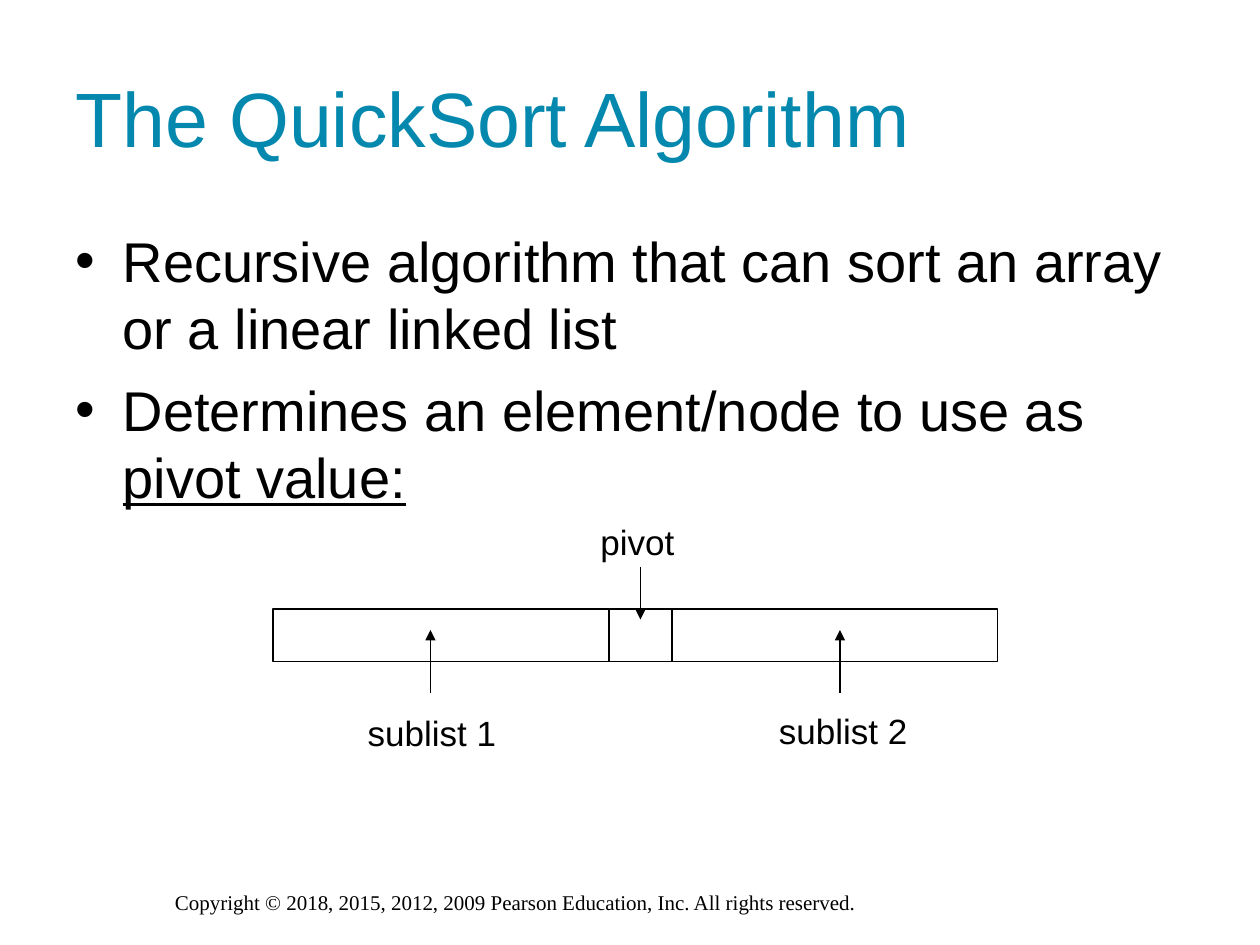
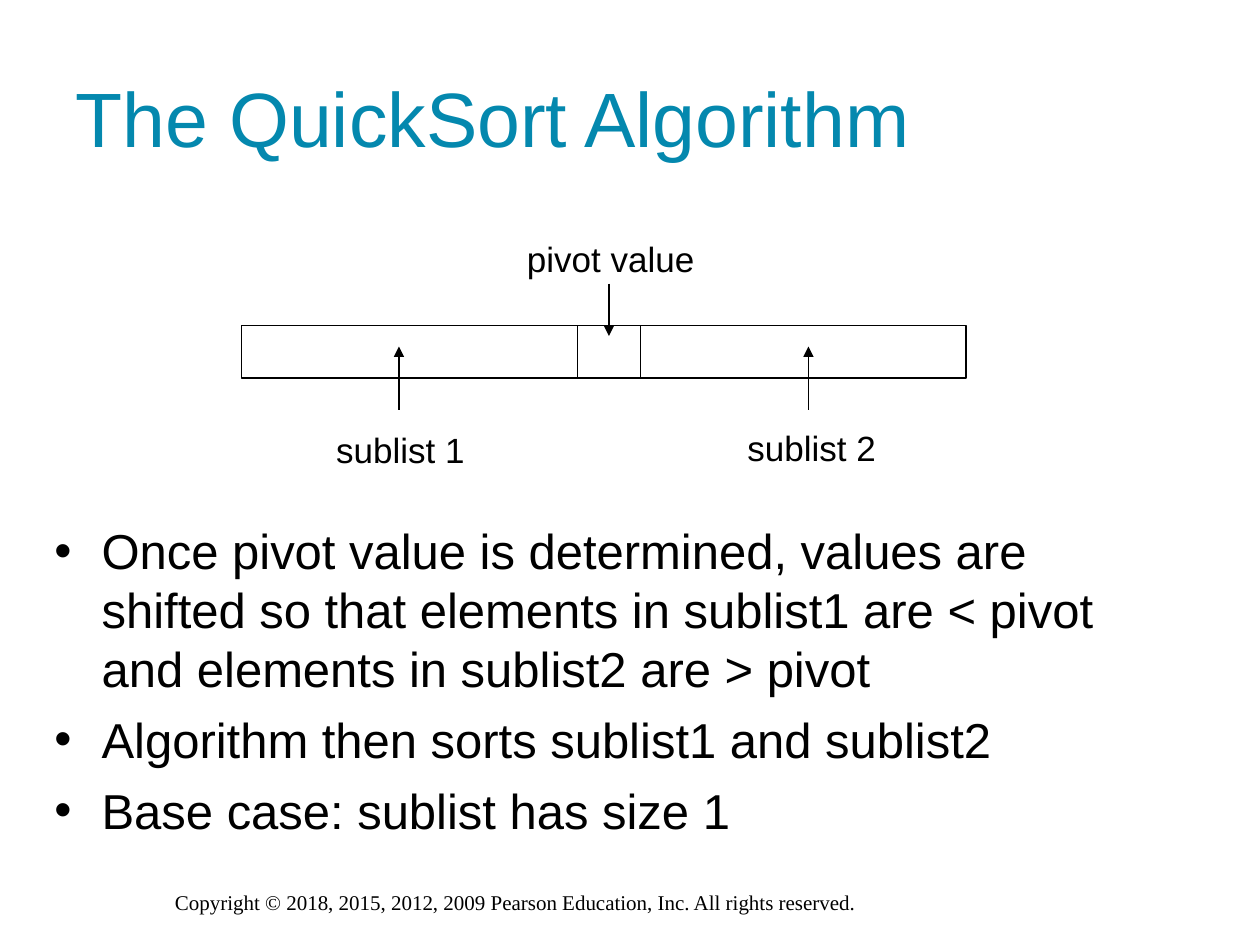
from lxml.etree import SubElement
from pptx import Presentation
from pptx.dml.color import RGBColor
from pptx.enum.shapes import MSO_CONNECTOR as Connector, MSO_SHAPE as Shape
from pptx.enum.text import MSO_ANCHOR as Anchor
from pptx.oxml.ns import qn
from pptx.util import Pt

BLACK, TEAL = "000000", "0488AE"
TITLE_BOX = (36, 21.6, 648, 90)
FOOTER_BOX = (92.9, 504.7, 534, 21.6)
FOOTER = "Copyright © 2018, 2015, 2012, 2009 Pearson Education, Inc. All rights reserved."

SLIDES = [
    {
        "title": "The QuickSort Algorithm",
        "body_box": (36, 126, 648, 356.4),
        "size": 32,
        "space": 8,
        "bullets": [
            ["Recursive algorithm that can sort an array or a linear linked list"],
            ["Determines an element/node to use as ", "pivot value:"],
        ],
        "list_origin": (156, 348),
        "pivot_label": ("pivot", 180, 57),
    },
    {
        "title": "The QuickSort Algorithm",
        "body_box": (24, 294, 612, 198),
        "size": 28,
        "space": 7,
        "bullets": [
            ["Once pivot value is determined, values are shifted so that elements "
             "in sublist1 are < pivot and elements in sublist2 are > pivot"],
            ["Algorithm then sorts sublist1 and sublist2"],
            ["Base case: sublist has size 1"],
        ],
        "list_origin": (138, 186),
        "pivot_label": ("pivot value", 156, 110),
    },
]

LIST_WIDTH, LIST_HEIGHT = 414, 30
PIVOT_LEFT, PIVOT_WIDTH = 192, 36
LABEL_WIDTH, LABEL_HEIGHT = 88, 31.5
SUBLISTS = [("sublist 1", 47, 55.2, 90), ("sublist 2", 282, 54, 324)]


def color(value):
    return RGBColor.from_string(value)


def points(*values):
    return [Pt(value) for value in values]


def format_runs(paragraph, size, font_color, font_name="Arial"):
    for run in paragraph.runs:
        run.font.size = Pt(size)
        run.font.name = font_name
        run.font.color.rgb = color(font_color)


def add_text(slide, box, text, size, font_color=BLACK, font_name="Arial", wrap=True):
    frame = slide.shapes.add_textbox(*points(*box)).text_frame
    frame.word_wrap = wrap
    frame.text = text
    format_runs(frame.paragraphs[0], size, font_color, font_name)
    return frame


def add_bullets(slide, box, bullets, size, space):
    frame = slide.shapes.add_textbox(*points(*box)).text_frame
    frame.word_wrap = True
    for index, (plain, *underlined) in enumerate(bullets):
        paragraph = frame.add_paragraph() if index else frame.paragraphs[0]
        paragraph.line_spacing = Pt(size * 1.2)
        if index:
            paragraph.space_before = Pt(space)
        properties = paragraph._p.get_or_add_pPr()
        properties.set("marL", str(Pt(27)))
        properties.set("indent", str(Pt(-27)))
        SubElement(properties, qn("a:buFont"), typeface="Arial")
        SubElement(properties, qn("a:buChar"), char="•")
        paragraph.add_run().text = plain
        for text in underlined:
            run = paragraph.add_run()
            run.text = text
            run.font.underline = True
        format_runs(paragraph, size, BLACK)


def add_cell(slide, left, top, width):
    shape = slide.shapes.add_shape(Shape.RECTANGLE, *points(left, top, width, LIST_HEIGHT))
    shape.shadow.inherit = False
    shape.fill.background()
    shape.line.color.rgb = color(BLACK)
    shape.line.width = Pt(0.75)


def add_arrow(slide, x, start, end):
    arrow = slide.shapes.add_connector(Connector.STRAIGHT, *points(x, start, x, end))
    arrow.line.color.rgb = color(BLACK)
    arrow.line.width = Pt(0.75)
    SubElement(arrow.line._get_or_add_ln(), qn("a:tailEnd"), type="triangle")
    SubElement(arrow._element.spPr, qn("a:effectLst"))


def add_partition(slide, origin, pivot_label):
    left, top = origin
    add_cell(slide, left, top, LIST_WIDTH)
    add_cell(slide, left + PIVOT_LEFT, top, PIVOT_WIDTH)
    text, offset, width = pivot_label
    add_text(slide, (left + offset, top - 54, width, LABEL_HEIGHT), text, 20, wrap=False)
    add_arrow(slide, left + PIVOT_LEFT + PIVOT_WIDTH / 2, top - 24, top + 6)
    for text, offset, drop, arrow_offset in SUBLISTS:
        box = (left + offset, top + drop, LABEL_WIDTH, LABEL_HEIGHT)
        add_text(slide, box, text, 20, wrap=False)
        add_arrow(slide, left + arrow_offset, top + 48, top + 12)


def main():
    presentation = Presentation()
    presentation.slide_width, presentation.slide_height = points(720, 540)
    for content in SLIDES:
        slide = presentation.slides.add_slide(presentation.slide_layouts[6])
        add_text(slide, FOOTER_BOX, FOOTER, 12, font_name="Times New Roman")
        title = add_text(slide, TITLE_BOX, content["title"], 44, TEAL)
        title.vertical_anchor = Anchor.MIDDLE
        add_bullets(slide, content["body_box"], content["bullets"],
                    content["size"], content["space"])
        add_partition(slide, content["list_origin"], content["pivot_label"])
    presentation.save("out.pptx")


if __name__ == "__main__":
    main()
